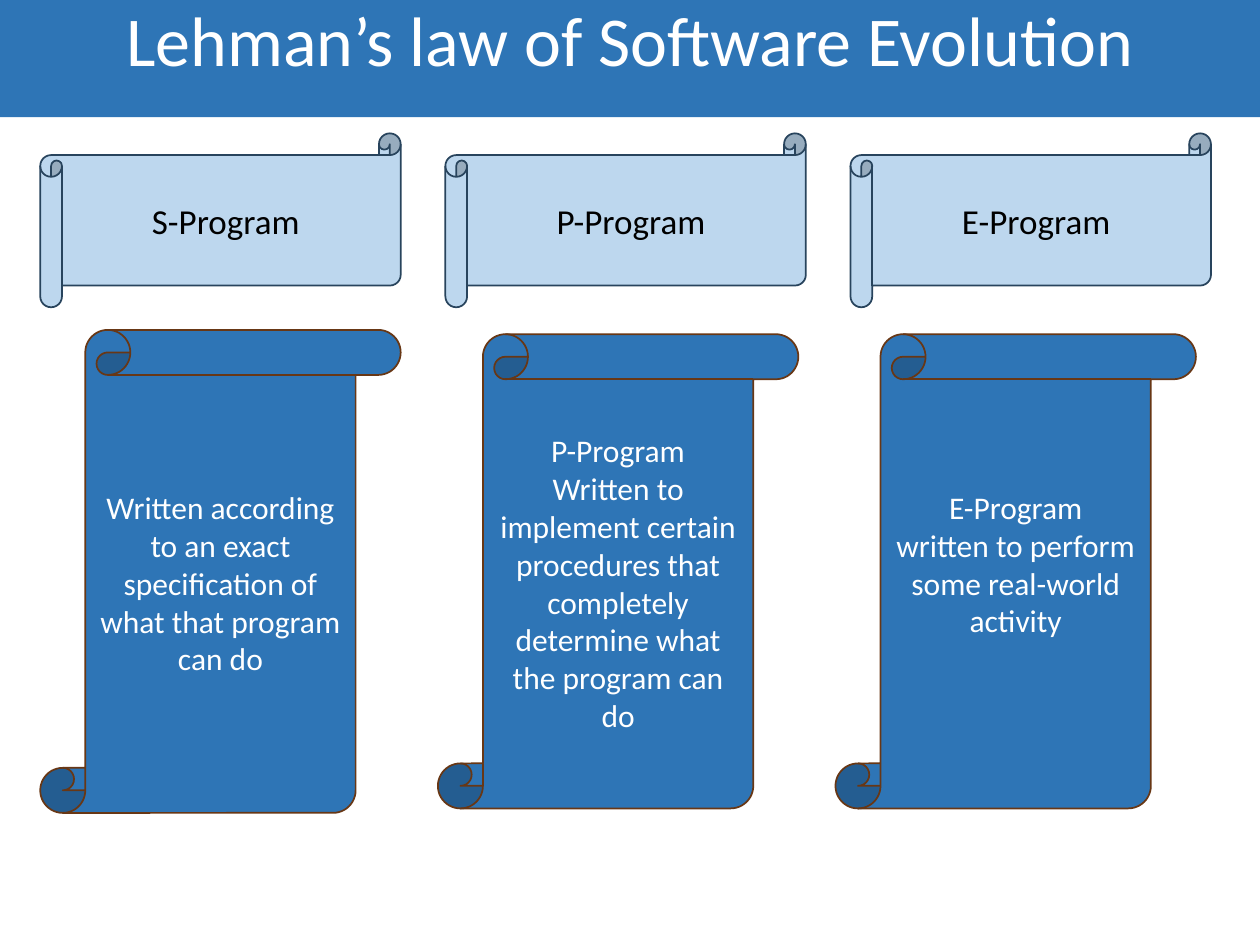
from pptx import Presentation
from pptx.dml.color import RGBColor
from pptx.enum import shapes, text
from pptx.util import Pt


def color(value):
    return RGBColor.from_string(value)


def add_scroll(kind, left, top, height, fill, line, lines, size, font_color):
    shape = slide.shapes.add_shape(kind, Pt(left), Pt(top), Pt(206), Pt(height))
    shape.shadow.inherit = False
    shape.fill.solid()
    shape.fill.fore_color.rgb = color(fill)
    shape.line.color.rgb = color(line)
    shape.line.width = Pt(1)
    frame = shape.text_frame
    frame.word_wrap = True
    frame.vertical_anchor = text.MSO_ANCHOR.MIDDLE
    frame.text = "\n".join(lines)
    for paragraph in frame.paragraphs:
        paragraph.alignment = text.PP_ALIGN.CENTER
        paragraph.font.name = "Calibri"
        paragraph.font.size = Pt(size)
        paragraph.font.color.rgb = color(font_color)
    return shape


presentation = Presentation()
presentation.slide_width = Pt(720)
presentation.slide_height = Pt(540)
slide = presentation.slides.add_slide(presentation.slide_layouts[5])

title = slide.shapes.title
title.left, title.top, title.width, title.height = Pt(0), Pt(0), Pt(720), Pt(67)
title.fill.solid()
title.fill.fore_color.rgb = color("2E75B6")
title.text_frame.text = "Lehman’s law of Software Evolution"
title.text_frame.auto_size = text.MSO_AUTO_SIZE.NONE
title.text_frame.vertical_anchor = text.MSO_ANCHOR.TOP
heading = title.text_frame.paragraphs[0]
heading.alignment = text.PP_ALIGN.CENTER
heading.line_spacing = 0.9
heading.font.name = "Calibri"
heading.font.size = Pt(40)
heading.font.color.rgb = color("FFFFFF")

programs = [
    ("S-Program", 188.5, 276,
     ["Written according to an exact specification of what that program can do"]),
    ("P-Program", 191, 271,
     ["P-Program", "Written to implement certain procedures that completely determine what the program can do"]),
    ("E-Program", 191, 271,
     ["E-Program", "written to perform some real-world activity"]),
]
for column, (name, top, height, description) in enumerate(programs):
    add_scroll(shapes.MSO_SHAPE.HORIZONTAL_SCROLL, 23 + 231.5 * column, 76.2, 99.4,
               "BDD7EE", "28445D", [name], 20, "000000")
    body = add_scroll(shapes.MSO_SHAPE.VERTICAL_SCROLL, 23 + 227.2 * column, top, height,
                      "2E75B6", "683715", description, 18, "FFFFFF")
body.text_frame.margin_bottom = Pt(25.2)

presentation.save("out.pptx")
